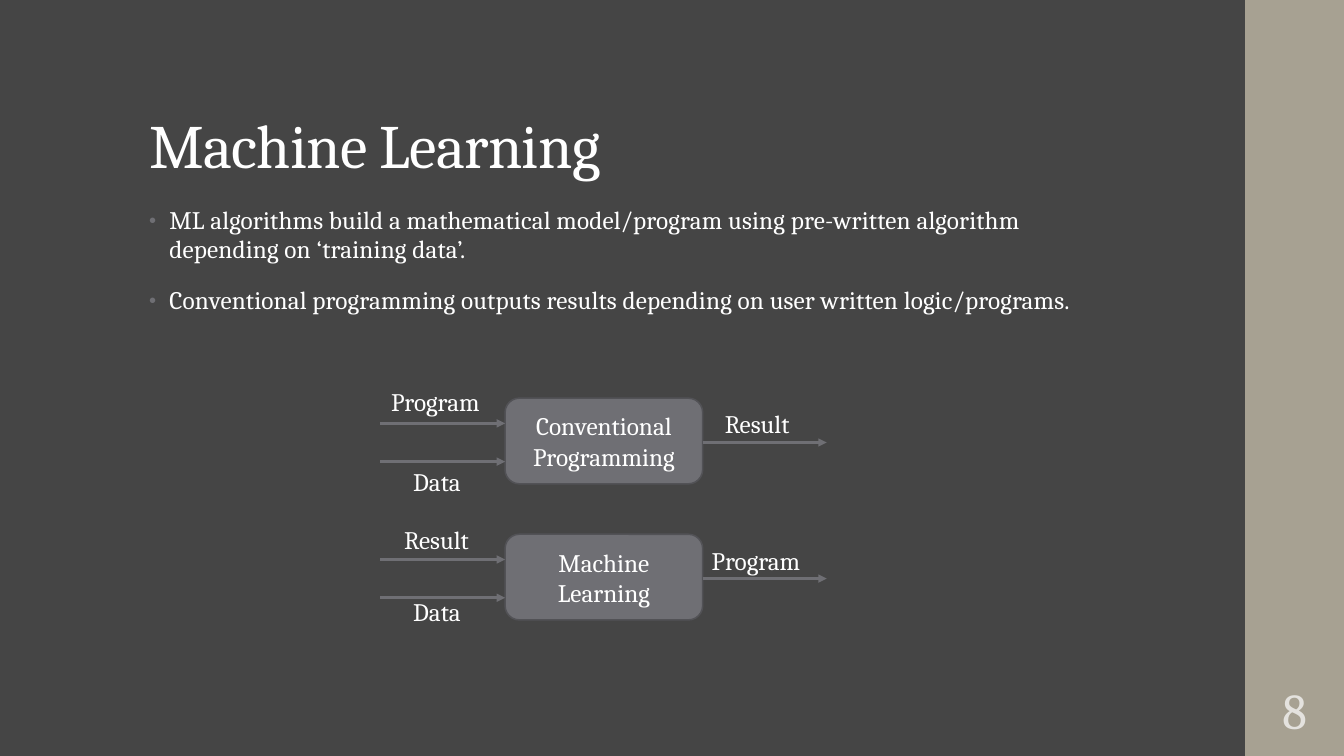
from lxml.etree import SubElement
from pptx import Presentation
from pptx.dml.color import RGBColor
from pptx.enum.shapes import MSO_CONNECTOR as CONN, MSO_SHAPE as SHAPE
from pptx.enum.text import MSO_ANCHOR as ANCHOR, MSO_AUTO_SIZE as FIT, PP_ALIGN as ALIGN
from pptx.oxml.ns import qn
from pptx.util import Inches, Pt

BACK, SAND, GREY, EDGE, WHITE = "454545", "A7A192", "6F6F74", "525256", "FFFFFF"
LABEL_W = {"Program": 1.22, "Result": 0.96, "Data": 0.78}
BULLETS = [
    "ML algorithms build a mathematical model/program using pre-written algorithm "
    "depending on ‘training data’.",
    "Conventional programming outputs results depending on user written logic/programs.",
]


def paint(fmt, color):
    """Give a fill a solid colour."""
    fmt.solid()
    fmt.fore_color.rgb = RGBColor.from_string(color)


def place(sp, x, y, w, h):
    """Move a shape to a box in inches."""
    sp.left, sp.top, sp.width, sp.height = map(Inches, (x, y, w, h))


def add_run(p, text, size=18, spacing=None):
    """Add a white run to a paragraph."""
    r = p.add_run()
    r.text = text
    r.font.size, r.font.name = Pt(size), "Cambria"
    paint(r.font.fill, WHITE)
    if spacing:
        r.font._element.set("spc", str(spacing))
    return r


def add_bullet(p):
    """Give a paragraph a small grey bullet with a hanging indent."""
    pPr = p._p.get_or_add_pPr()
    pPr.set("marL", str(Inches(0.2)))
    pPr.set("indent", str(Inches(-0.2)))
    clr = SubElement(pPr, qn("a:buClr"))
    SubElement(clr, qn("a:srgbClr"), val=GREY)
    SubElement(pPr, qn("a:buSzPct"), val="80000")
    SubElement(pPr, qn("a:buChar"), char="•")


def add_title(s, text, x, y, w, h):
    """Fill the title placeholder."""
    sp = s.shapes.title
    place(sp, x, y, w, h)
    tf = sp.text_frame
    tf.auto_size, tf.vertical_anchor = FIT.NONE, ANCHOR.BOTTOM
    p = tf.paragraphs[0]
    p.alignment, p.line_spacing = ALIGN.LEFT, 0.9
    add_run(p, text, 44, -50)


def add_body(s, items, x, y, w, h):
    """Fill the body placeholder with bulleted items."""
    sp = s.placeholders[1]
    place(sp, x, y, w, h)
    tf = sp.text_frame
    tf.auto_size = FIT.NONE
    for i, item in enumerate(items):
        p = tf.add_paragraph() if i else tf.paragraphs[0]
        p.line_spacing, p.space_before, p.space_after = 0.95, Pt(14), Pt(2)
        add_bullet(p)
        add_run(p, item, spacing=10)


def add_sidebar(s, number, x, y, w, h):
    """Draw the side band with the slide number at its foot."""
    sp = s.shapes.add_shape(SHAPE.RECTANGLE, *map(Inches, (x, y, w, h)))
    sp.shadow.inherit = False
    paint(sp.fill, SAND)
    sp.line.fill.background()
    tb = s.shapes.add_textbox(*map(Inches, (x, y + h - 0.75, w, 0.65)))
    tf = tb.text_frame
    tf.word_wrap, tf.vertical_anchor = True, ANCHOR.MIDDLE
    tf.margin_left = tf.margin_right = tf.margin_top = tf.margin_bottom = Inches(0.05)
    p = tf.paragraphs[0]
    p.alignment, p.line_spacing, p.space_after = ALIGN.CENTER, 0.9, Pt(6)
    r = add_run(p, number, 36)
    clr = r.font._element.find(".//" + qn("a:srgbClr"))
    SubElement(clr, qn("a:alpha"), val="70000")


def add_arrow(s, x, y, w):
    """Draw a horizontal arrow to the right."""
    cn = s.shapes.add_connector(CONN.STRAIGHT, *map(Inches, (x, y, x + w, y)))
    cn.line.width = Pt(2)
    paint(cn.line.fill, GREY)
    SubElement(cn.line._get_or_add_ln(), qn("a:tailEnd"), type="triangle")
    SubElement(cn._element.spPr, qn("a:effectLst"))


def add_label(s, text, cx, y):
    """Write an arrow label centred on cx."""
    w = LABEL_W[text]
    tb = s.shapes.add_textbox(*map(Inches, (cx - w / 2, y, w, 0.4)))
    tf = tb.text_frame
    tf.word_wrap, tf.auto_size = False, FIT.SHAPE_TO_FIT_TEXT
    add_run(tf.paragraphs[0], text)


def add_process(s, name, inputs, output, x, y, w, h):
    """Draw a process box with two inputs and one output, labels as (text, dy)."""
    sp = s.shapes.add_shape(SHAPE.ROUNDED_RECTANGLE, *map(Inches, (x, y, w, h)))
    sp.shadow.inherit = False
    paint(sp.fill, GREY)
    paint(sp.line.fill, EDGE)
    sp.line.width = Pt(1.1)
    tf = sp.text_frame
    tf.word_wrap, tf.vertical_anchor = True, ANCHOR.MIDDLE
    p = tf.paragraphs[0]
    p.alignment = ALIGN.CENTER
    add_run(p, name)
    for i, (text, dy) in enumerate(inputs):
        add_arrow(s, x - 1.24, y + 0.25 + 0.38 * i, 1.24)
        add_label(s, text, x - 0.62, y + dy)
    add_arrow(s, x + w, y + 0.44, 1.23)
    add_label(s, output[0], x + w + 0.6, y + output[1])


def main():
    """Build and save the slide."""
    prs = Presentation()
    prs.slide_width, prs.slide_height = Inches(13.33), Inches(7.5)
    s = prs.slides.add_slide(prs.slide_layouts[1])
    paint(s.background.fill, BACK)
    add_sidebar(s, "8", 12.35, 0, 0.98, 7.5)
    add_title(s, "Machine Learning", 1.38, 0.4, 10.6, 1.45)
    add_body(s, BULLETS, 1.38, 2, 9.4, 1.63)
    add_process(s, "Conventional Programming", [("Program", -0.17), ("Data", 0.63)],
                ("Result", 0.05), 5.01, 3.95, 1.96, 0.85)
    add_process(s, "Machine Learning", [("Result", -0.15), ("Data", 0.57)],
                ("Program", 0.06), 5.01, 5.3, 1.96, 0.85)
    prs.save("out.pptx")


if __name__ == "__main__":
    main()
